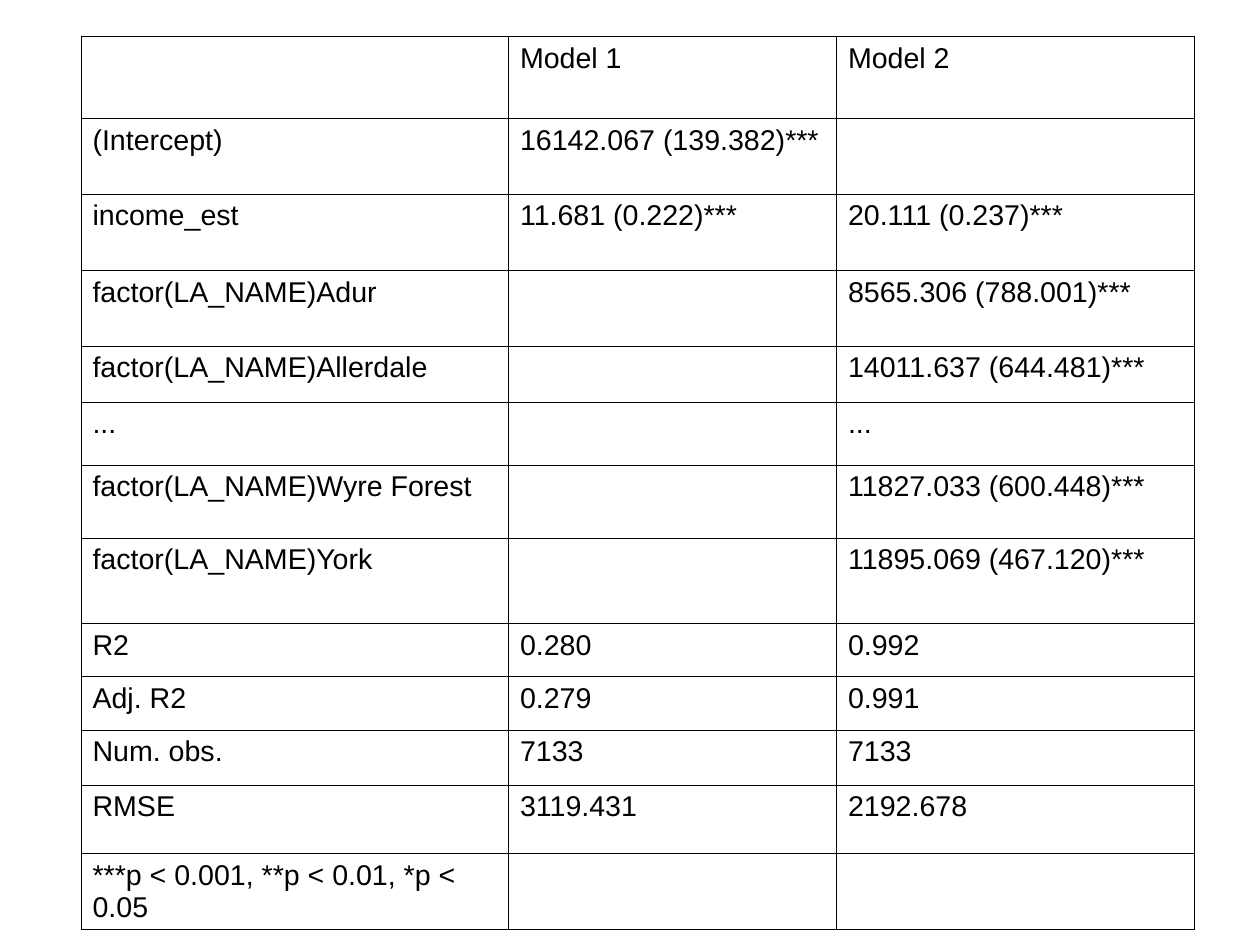
from dataclasses import dataclass

from lxml.etree import SubElement
from pptx import Presentation
from pptx.dml.color import RGBColor
from pptx.enum.text import MSO_ANCHOR, PP_ALIGN
from pptx.oxml.ns import qn
from pptx.table import Table, _Cell as Cell
from pptx.util import Inches, Pt

INK = "000000"
PAPER = "FFFFFF"
FONT_FORMAT = {"name": "Arial", "size": Pt(18), "bold": False}
TABLE_FORMAT = {"first_row": False, "horz_banding": False}
COLUMN_WIDTHS = (3.74, 2.87, 3.13)
BORDER_WIDTH = Pt(0.75)
CM_PER_INCH = 2.54


@dataclass(frozen=True)
class Estimate:
    term: str
    model_1: str
    model_2: str
    height: float


ESTIMATES = (
    Estimate("", "Model 1", "Model 2", 0.72),
    Estimate("(Intercept)", "16142.067 (139.382)***", "", 0.66),
    Estimate("income_est", "11.681 (0.222)***", "20.111 (0.237)***", 0.67),
    Estimate("factor(LA_NAME)Adur", "", "8565.306 (788.001)***", 0.66),
    Estimate("factor(LA_NAME)Allerdale", "", "14011.637 (644.481)***", 0.49),
    Estimate("...", "", "...", 0.55),
    Estimate("factor(LA_NAME)Wyre Forest", "", "11827.033 (600.448)***", 0.64),
    Estimate("factor(LA_NAME)York", "", "11895.069 (467.120)***", 0.75),
    Estimate("R2", "0.280", "0.992", 0.46),
    Estimate("Adj. R2", "0.279", "0.991", 0.47),
    Estimate("Num. obs.", "7133", "7133", 0.48),
    Estimate("RMSE", "3119.431", "2192.678", 0.6),
    Estimate("***p < 0.001, **p < 0.01, *p < 0.05", "", "", 0.66),
)


def color(value: str) -> RGBColor:
    return RGBColor.from_string(value)


def apply_format(target: object, values: dict) -> None:
    for attribute, value in values.items():
        setattr(target, attribute, value)


def add_borders(cell: Cell) -> None:
    properties = cell._tc.get_or_add_tcPr()
    for side in ("a:lnL", "a:lnR", "a:lnT", "a:lnB"):
        border = SubElement(properties, qn(side), w=str(BORDER_WIDTH))
        fill = SubElement(border, qn("a:solidFill"))
        SubElement(fill, qn("a:srgbClr"), val=INK)


def fill_cell(cell: Cell, text: str) -> None:
    # Borders come before the fill in the cell properties
    add_borders(cell)
    cell.fill.solid()
    cell.fill.fore_color.rgb = color(PAPER)
    cell.vertical_anchor = MSO_ANCHOR.TOP
    paragraph = cell.text_frame.paragraphs[0]
    paragraph.alignment = PP_ALIGN.LEFT
    apply_format(paragraph.font, FONT_FORMAT)
    if text:
        run = paragraph.add_run()
        run.text = text
        apply_format(run.font, FONT_FORMAT)
        run.font.color.rgb = color(INK)


def fill_regression(regression: Table) -> None:
    apply_format(regression, TABLE_FORMAT)
    for column, width in zip(regression.columns, COLUMN_WIDTHS):
        column.width = Inches(width)
    for row, estimate in zip(regression.rows, ESTIMATES):
        row.height = Inches(estimate.height)
        texts = (estimate.term, estimate.model_1, estimate.model_2)
        for cell, text in zip(row.cells, texts):
            fill_cell(cell, text)


def main() -> None:
    # Slide of 28 by 21 cm
    deck = Presentation()
    deck.slide_width = Inches(28 / CM_PER_INCH)
    deck.slide_height = Inches(21 / CM_PER_INCH)
    slide = deck.slides.add_slide(deck.slide_layouts[6])
    slide.background.fill.solid()
    slide.background.fill.fore_color.rgb = color(PAPER)

    # Regression table
    table_height = sum(estimate.height for estimate in ESTIMATES)
    frame = slide.shapes.add_table(
        len(ESTIMATES), len(COLUMN_WIDTHS), Inches(0.71), Inches(0.32),
        Inches(sum(COLUMN_WIDTHS)), Inches(table_height))
    fill_regression(frame.table)

    deck.save("out.pptx")


if __name__ == "__main__":
    main()
